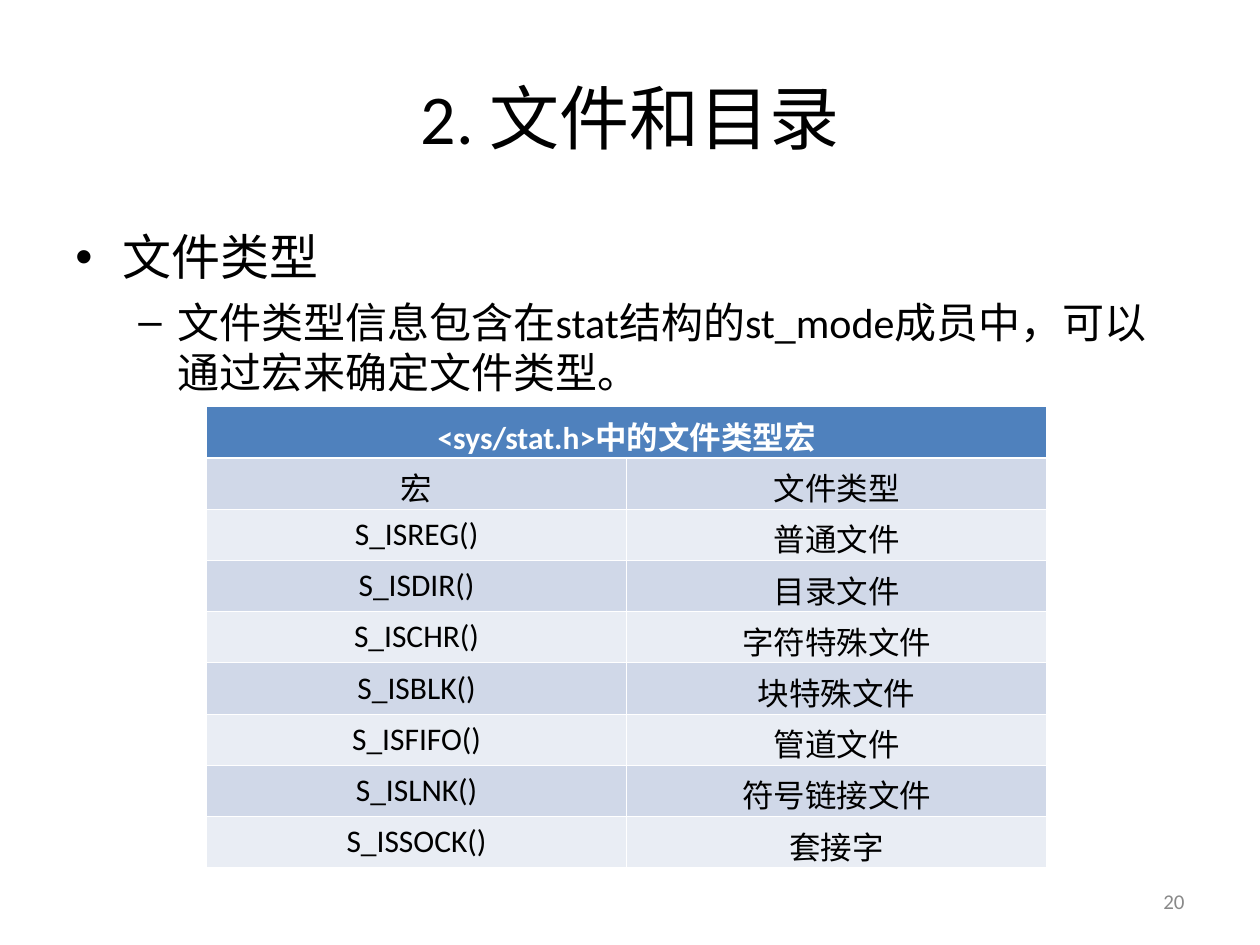
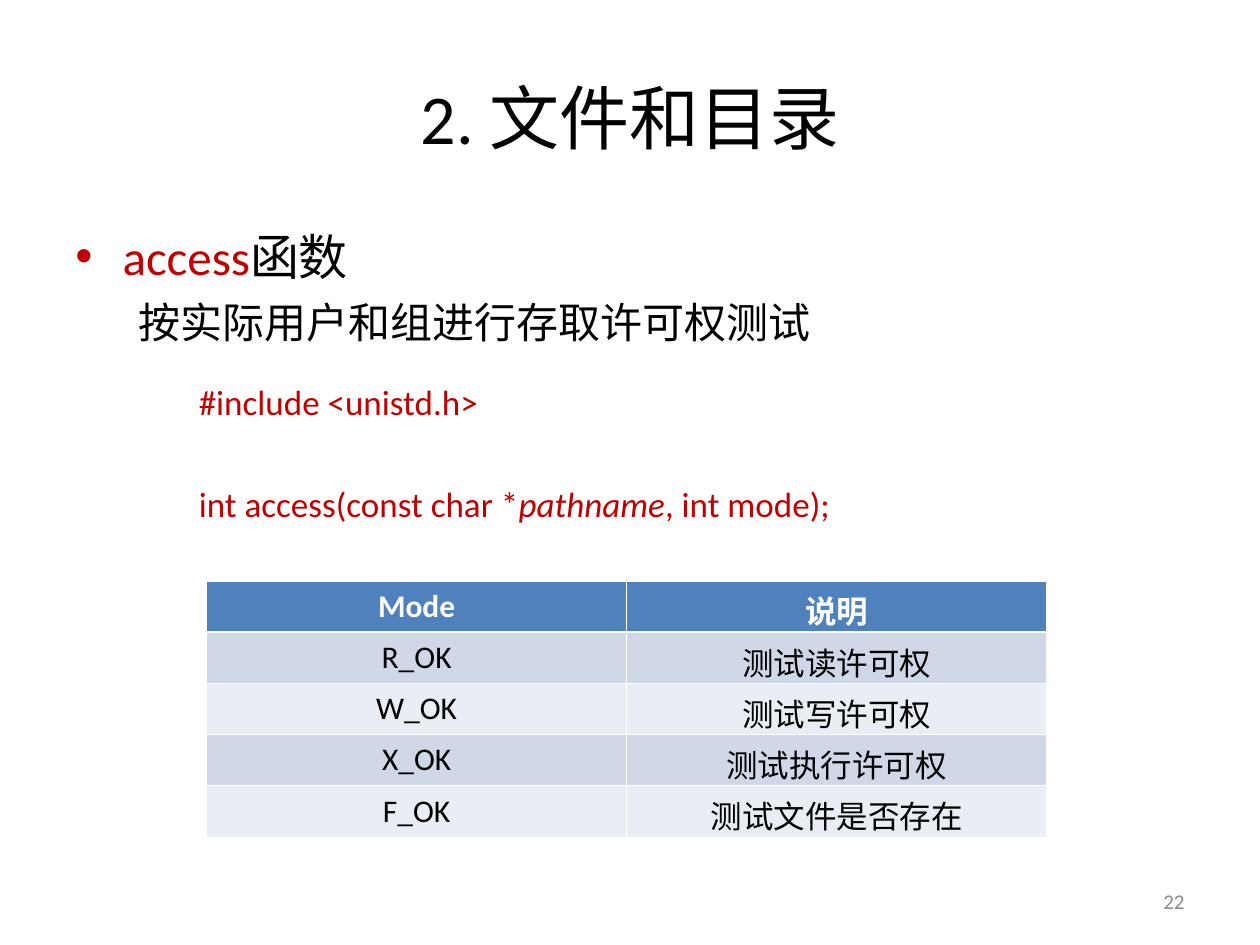
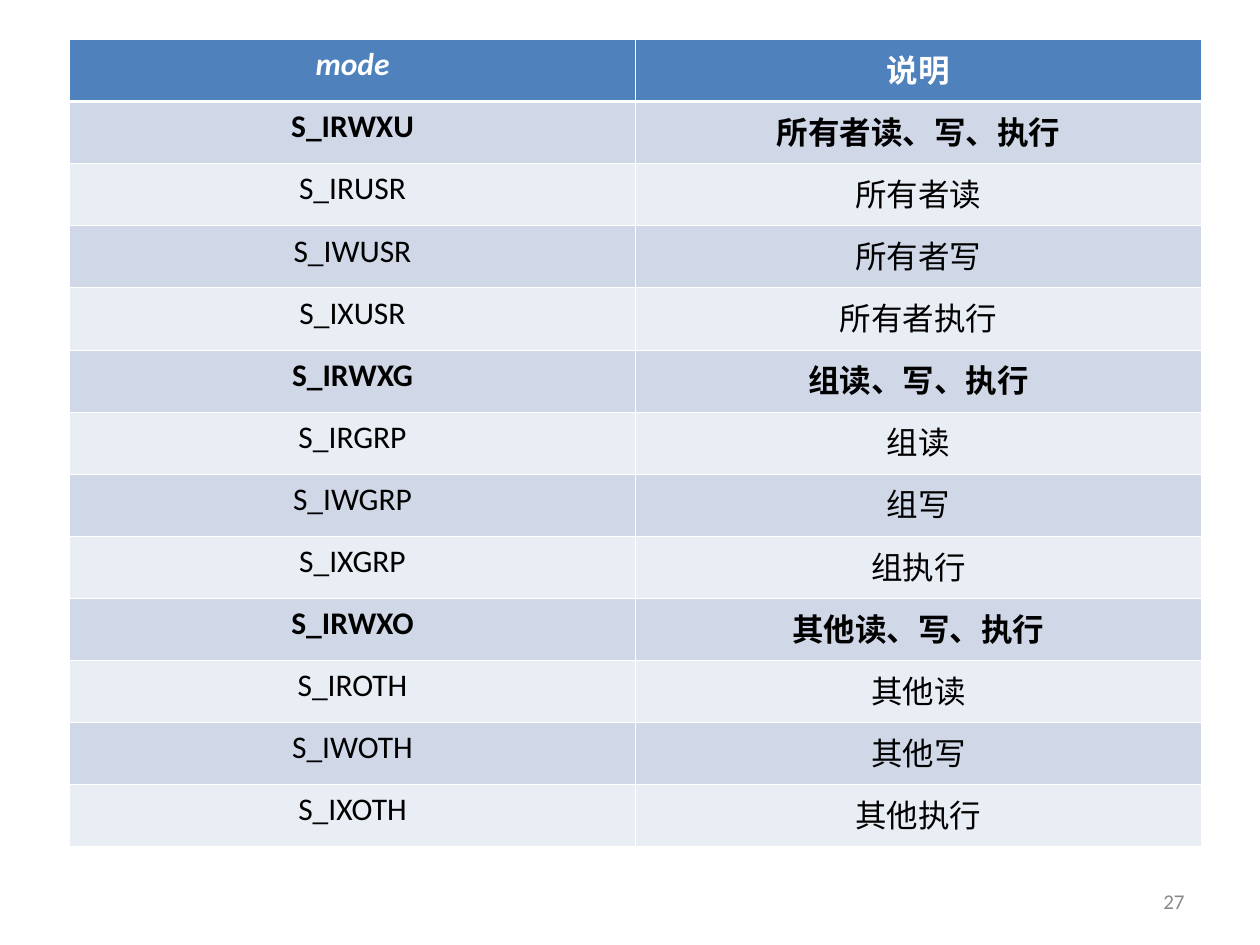
"""Build three slides on file types, access tests and permission modes."""
from dataclasses import dataclass, field
from typing import Any

from pptx import Presentation
from pptx.dml.color import RGBColor
from pptx.enum.lang import MSO_LANGUAGE_ID as Language
from pptx.enum.text import MSO_ANCHOR as Anchor, PP_ALIGN as Align
from pptx.oxml.ns import qn
from pptx.oxml.xmlchemy import OxmlElement
from pptx.util import Pt

COLORS = {
    "text": "000000",
    "accent": "C00000",
    "number": "898989",
    "header": "4F81BD",
    "band_dark": "D0D8E8",
    "band_light": "E9EDF4",
    "white": "FFFFFF",
}
FONT = "Calibri"
CHAPTER = "2. 文件和目录"
THIN, THICK = 0.45, 1.47


@dataclass
class Span:
    text: str
    color: str = "text"
    bold: bool = False
    italic: bool = False


@dataclass
class Para:
    spans: list[Span]
    size: float
    space_before: float = 0
    left: float = 0
    hanging: float = 0
    bullet: str = ""
    align: Align = Align.LEFT


@dataclass
class TextBox:
    left: float
    top: float
    width: float
    height: float
    paras: list[Para]
    anchor: Anchor = Anchor.TOP


@dataclass
class Grid:
    left: float
    top: float
    column_width: float
    row_height: float
    rows: list[list[str]]
    bold_rows: set[int] = field(default_factory=set)
    italic_cells: set[tuple[int, int]] = field(default_factory=set)


def set_values(target: Any, values: dict[str, Any]) -> None:
    for name, value in values.items():
        setattr(target, name, value)


def rgb(name: str) -> RGBColor:
    return RGBColor.from_string(COLORS[name])


def add_bullet(properties: Any, mark: str, color: str) -> None:
    bullet_color = OxmlElement("a:buClr")
    shade = OxmlElement("a:srgbClr")
    shade.set("val", COLORS[color])
    bullet_color.append(shade)
    bullet_font = OxmlElement("a:buFont")
    bullet_font.set("typeface", "Arial")
    bullet = OxmlElement("a:buChar")
    bullet.set("char", mark)
    properties.extend([bullet_color, bullet_font, bullet])


def fill_paragraph(paragraph: Any, para: Para) -> None:
    set_values(paragraph, {"alignment": para.align, "space_before": Pt(para.space_before)})
    properties = paragraph._p.get_or_add_pPr()
    properties.set("marL", str(Pt(para.left)))
    properties.set("indent", str(-Pt(para.hanging)))
    if para.bullet:
        add_bullet(properties, para.bullet, para.spans[0].color)
    for span in para.spans:
        run = paragraph.add_run()
        run.text = span.text
        set_values(run.font, {
            "name": FONT, "size": Pt(para.size), "bold": span.bold,
            "italic": span.italic, "language_id": Language.SIMPLIFIED_CHINESE,
        })
        run.font.color.rgb = rgb(span.color)


def draw_text(page: Any, box: TextBox) -> None:
    shape = page.shapes.add_textbox(*map(Pt, (box.left, box.top, box.width, box.height)))
    frame = shape.text_frame
    set_values(frame, {"word_wrap": True, "vertical_anchor": box.anchor})
    for index, para in enumerate(box.paras):
        fill_paragraph(frame.add_paragraph() if index else frame.paragraphs[0], para)


def set_borders(cell: Any, row: int) -> None:
    widths = {
        "a:lnL": THIN,
        "a:lnR": THIN,
        "a:lnT": THICK if row == 1 else THIN,
        "a:lnB": THICK if row == 0 else THIN,
    }
    properties = cell._tc.get_or_add_tcPr()
    for position, (tag, width) in enumerate(widths.items()):
        line = OxmlElement(tag)
        line.set("w", str(Pt(width)))
        solid = OxmlElement("a:solidFill")
        shade = OxmlElement("a:srgbClr")
        shade.set("val", COLORS["white"])
        solid.append(shade)
        line.append(solid)
        properties.insert(position, line)


def draw_grid(page: Any, grid: Grid) -> None:
    row_count, column_count = len(grid.rows), len(grid.rows[-1])
    frame = page.shapes.add_table(
        row_count, column_count, Pt(grid.left), Pt(grid.top),
        Pt(grid.column_width * column_count), Pt(grid.row_height * row_count))
    table = frame.table
    set_values(table, {"first_row": False, "horz_banding": False})
    table._tbl.tblPr.find(qn("a:tableStyleId")).text = "{2D5ABB26-0587-4C30-8999-92F81FD0307C}"
    for row, texts in enumerate(grid.rows):
        table.rows[row].height = Pt(grid.row_height)
        if len(texts) < column_count:
            table.cell(row, 0).merge(table.cell(row, column_count - 1))
        fill = "header" if row == 0 else "band_dark" if row % 2 else "band_light"
        for column in range(column_count):
            cell = table.cell(row, column)
            cell.fill.solid()
            cell.fill.fore_color.rgb = rgb(fill)
            set_borders(cell, row)
        for column, text in enumerate(texts):
            span = Span(text, "text" if row else "white",
                        bold=row == 0 or row in grid.bold_rows,
                        italic=(row, column) in grid.italic_cells)
            paragraph = table.cell(row, column).text_frame.paragraphs[0]
            fill_paragraph(paragraph, Para([span], 18, align=Align.CENTER))


def draw_title(page: Any) -> None:
    title = Para([Span(CHAPTER)], 40, align=Align.CENTER)
    draw_text(page, TextBox(36, 21.6, 648, 90, [title], Anchor.MIDDLE))


def draw_number(page: Any, number: int) -> None:
    para = Para([Span(str(number), "number")], 12, align=Align.RIGHT)
    draw_text(page, TextBox(516, 500.5, 168, 28.8, [para], Anchor.MIDDLE))


def topic(*spans: Span) -> Para:
    return Para(list(spans), 28, left=27, hanging=27, bullet="•")


def detail(text: str, bullet: str = "") -> Para:
    return Para([Span(text)], 24, space_before=6, left=58.5, hanging=22.5, bullet=bullet)


def draw_file_types(page: Any) -> None:
    draw_title(page)
    draw_text(page, TextBox(36, 126, 648, 104.4, [
        topic(Span("文件类型")),
        detail("文件类型信息包含在stat结构的st_mode成员中，可以通过宏来确定文件类型。", "–"),
    ]))
    kinds = {
        "REG": "普通文件", "DIR": "目录文件", "CHR": "字符特殊文件", "BLK": "块特殊文件",
        "FIFO": "管道文件", "LNK": "符号链接文件", "SOCK": "套接字",
    }
    macros = [[f"S_IS{kind}()", meaning] for kind, meaning in kinds.items()]
    draw_grid(page, Grid(118.1, 232.4, 240, 29.28, [
        ["<sys/stat.h>中的文件类型宏"], ["宏", "文件类型"], *macros]))
    draw_number(page, 20)


def draw_access(page: Any) -> None:
    draw_title(page)
    draw_text(page, TextBox(36, 126, 648, 76.3, [
        topic(Span("access", "accent"), Span("函数")),
        detail("按实际用户和组进行存取许可权测试"),
    ]))
    draw_text(page, TextBox(106.5, 213.8, 541.5, 90, [
        Para([Span("#include <unistd.h>", "accent")], 20),
        Para([
            Span("int access(const char *", "accent"),
            Span("pathname", "accent", italic=True),
            Span(", int mode);", "accent"),
        ], 20, space_before=34.4),
    ]))
    tests = {"R": "读许可权", "W": "写许可权", "X": "执行许可权", "F": "文件是否存在"}
    modes = [[f"{letter}_OK", f"测试{meaning}"] for letter, meaning in tests.items()]
    draw_grid(page, Grid(118.1, 332, 240, 29.28, [["Mode", "说明"], *modes]))
    draw_number(page, 22)


def draw_permissions(page: Any) -> None:
    classes = {"USR": "所有者", "GRP": "组", "OTH": "其他"}
    actions = {"R": "读", "W": "写", "X": "执行"}
    rows = [["mode", "说明"]]
    for code, holder in classes.items():
        rows.append([f"S_IRWX{code[0]}", holder + "、".join(actions.values())])
        rows += [[f"S_I{letter}{code}", holder + action] for letter, action in actions.items()]
    draw_grid(page, Grid(39.8, 22.5, 323.3, 35.5, rows,
                         bold_rows=set(range(1, len(rows), 4)), italic_cells={(0, 0)}))
    draw_number(page, 27)


def main() -> None:
    deck = Presentation()
    set_values(deck, {"slide_width": Pt(720), "slide_height": Pt(540)})
    for draw in (draw_file_types, draw_access, draw_permissions):
        draw(deck.slides.add_slide(deck.slide_layouts[6]))
    deck.save("out.pptx")


if __name__ == "__main__":
    main()
